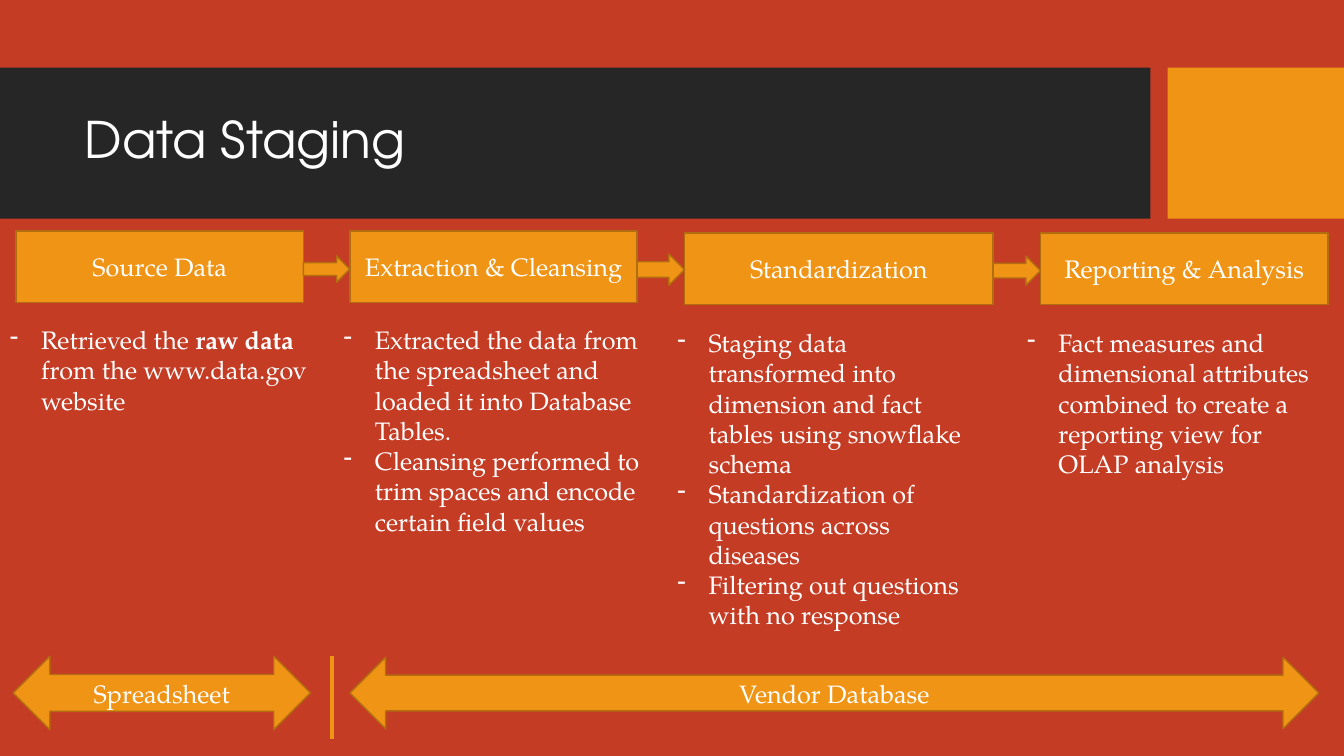
from dataclasses import dataclass

from lxml import etree
from pptx import Presentation
from pptx.dml.color import RGBColor
from pptx.enum.shapes import MSO_CONNECTOR as Connector, MSO_SHAPE as Shape
from pptx.enum.text import MSO_ANCHOR as Anchor, MSO_AUTO_SIZE as AutoSize, PP_ALIGN as Align
from pptx.oxml.ns import qn
from pptx.util import Inches, Pt

# Content: each stage has a heading, its box, its notes and the notes' place.
# A note is a list of (wording, bold) spans.
TITLE = "Data Staging"
STAGES = [
    {"heading": "Source Data", "box": (0.16, 2.29, 2.85), "notes_at": (0, 3.17, 3.18, 1.31),
     "notes": [[("Retrieved the ", False), ("raw data ", True),
                ("from the www.data.gov website", False)]]},
    {"heading": "Extraction & Cleansing", "box": (3.47, 2.29, 2.85),
     "notes_at": (3.31, 3.17, 3.18, 2.22),
     "notes": [[("Extracted the data from the spreadsheet and loaded it into "
                 "Database Tables.", False)],
               [("Cleansing performed to trim spaces and encode certain field values", False)]]},
    {"heading": "Standardization", "box": (6.79, 2.31, 3.06), "notes_at": (6.62, 3.2, 3.23, 3.13),
     "notes": [[("Staging data transformed into dimension and fact tables using "
                 "snowflake schema", False)],
               [("Standardization of questions across diseases", False)],
               [("Filtering out questions with no response", False)]]},
    {"heading": "Reporting & Analysis", "box": (10.32, 2.31, 2.85),
     "notes_at": (10.09, 3.2, 3.1, 1.62),
     "notes": [[("Fact measures and dimensional attributes combined to create a "
                 "reporting view for OLAP analysis", False)]]},
]
STORES = [("Spreadsheet", (0.13, 6.51, 2.95, 0.73)), ("Vendor Database", (3.47, 6.52, 9.61, 0.71))]
STEP_ARROWS = [(2.54, 0.26), (2.52, 0.31), (2.54, 0.29)]  # top, height
BOX_HEIGHT = 0.71
BULLET_INDENT = 0.31


@dataclass(frozen=True)
class Theme:
    background: RGBColor = RGBColor.from_string("C53C25")
    banner: RGBColor = RGBColor.from_string("262626")
    accent: RGBColor = RGBColor.from_string("F09415")
    outline: RGBColor = RGBColor.from_string("B26D10")
    text: RGBColor = RGBColor.from_string("FFFFFF")
    title_font: str = "TeX Gyre Adventor"
    body_font: str = "TeX Gyre Pagella"
    title_size: Pt = Pt(36)
    body_size: Pt = Pt(18)


THEME = Theme()
TITLE_FORMAT = {"name": THEME.title_font, "size": THEME.title_size}
BODY_FORMAT = {"name": THEME.body_font, "size": THEME.body_size}


def add_span(para, wording, formats):
    span = para.add_run()
    span.text = wording
    span.font.color.rgb = THEME.text
    for name, value in formats.items():
        setattr(span.font, name, value)


def add_block(page, kind, place, fill=THEME.accent, outline=THEME.outline, label=""):
    block = page.shapes.add_shape(kind, *map(Inches, place))
    block.shadow.inherit = False
    block.fill.solid()
    block.fill.fore_color.rgb = fill
    if outline is None:
        block.line.fill.background()
    else:
        block.line.color.rgb = outline
        block.line.width = Pt(1)
    if label:
        block.text_frame.word_wrap = True
        block.text_frame.vertical_anchor = Anchor.MIDDLE
        para = block.text_frame.paragraphs[0]
        para.alignment = Align.CENTER
        add_span(para, label, BODY_FORMAT)
    return block


def add_notes(page, place, notes):
    frame = page.shapes.add_textbox(*map(Inches, place)).text_frame
    frame.word_wrap = True
    frame.auto_size = AutoSize.SHAPE_TO_FIT_TEXT
    for index, note in enumerate(notes):
        para = frame.add_paragraph() if index else frame.paragraphs[0]
        for wording, bold in note:
            add_span(para, wording, {**BODY_FORMAT, "bold": bold})
        # Dash bullet with a hanging indent
        properties = para._p.get_or_add_pPr()
        properties.set("marL", str(Inches(BULLET_INDENT)))
        properties.set("indent", str(-Inches(BULLET_INDENT)))
        etree.SubElement(properties, qn("a:buChar"), char="-")


def add_title(page):
    title = page.shapes.title
    title.left, title.top, title.width, title.height = map(Inches, (0.74, 0.82, 10.51, 1.18))
    title.text_frame.vertical_anchor = Anchor.MIDDLE
    para = title.text_frame.paragraphs[0]
    para.alignment = Align.LEFT
    para.line_spacing = 0.9
    add_span(para, TITLE, TITLE_FORMAT)
    # Banner blocks go behind the title
    for left, width, fill in [(0, 11.41, THEME.banner), (11.58, 1.75, THEME.accent)]:
        block = add_block(page, Shape.RECTANGLE, (left, 0.67, width, 1.5), fill, None)
        title.element.addprevious(block.element)


def main():
    deck = Presentation()
    deck.slide_width, deck.slide_height = Inches(13.33), Inches(7.5)
    page = deck.slides.add_slide(deck.slide_layouts[5])
    page.background.fill.solid()
    page.background.fill.fore_color.rgb = THEME.background
    add_title(page)

    # Stages and their notes
    for stage in STAGES:
        add_block(page, Shape.RECTANGLE, (*stage["box"], BOX_HEIGHT), label=stage["heading"])
        add_notes(page, stage["notes_at"], stage["notes"])

    # Step arrows fill the gaps between neighbouring boxes
    for stage, following, (top, height) in zip(STAGES, STAGES[1:], STEP_ARROWS):
        left = stage["box"][0] + stage["box"][2]
        add_block(page, Shape.RIGHT_ARROW, (left, top, following["box"][0] - left, height))

    # Storage spans and the divider between them
    for label, place in STORES:
        add_block(page, Shape.LEFT_RIGHT_ARROW, place, label=label)
    divider = page.shapes.add_connector(
        Connector.STRAIGHT, *map(Inches, (3.29, 6.51, 3.29, 7.33)))
    divider.line.color.rgb = THEME.accent
    divider.line.width = Pt(3)
    etree.SubElement(divider.element.spPr, qn("a:effectLst"))

    deck.save("out.pptx")


if __name__ == "__main__":
    main()
